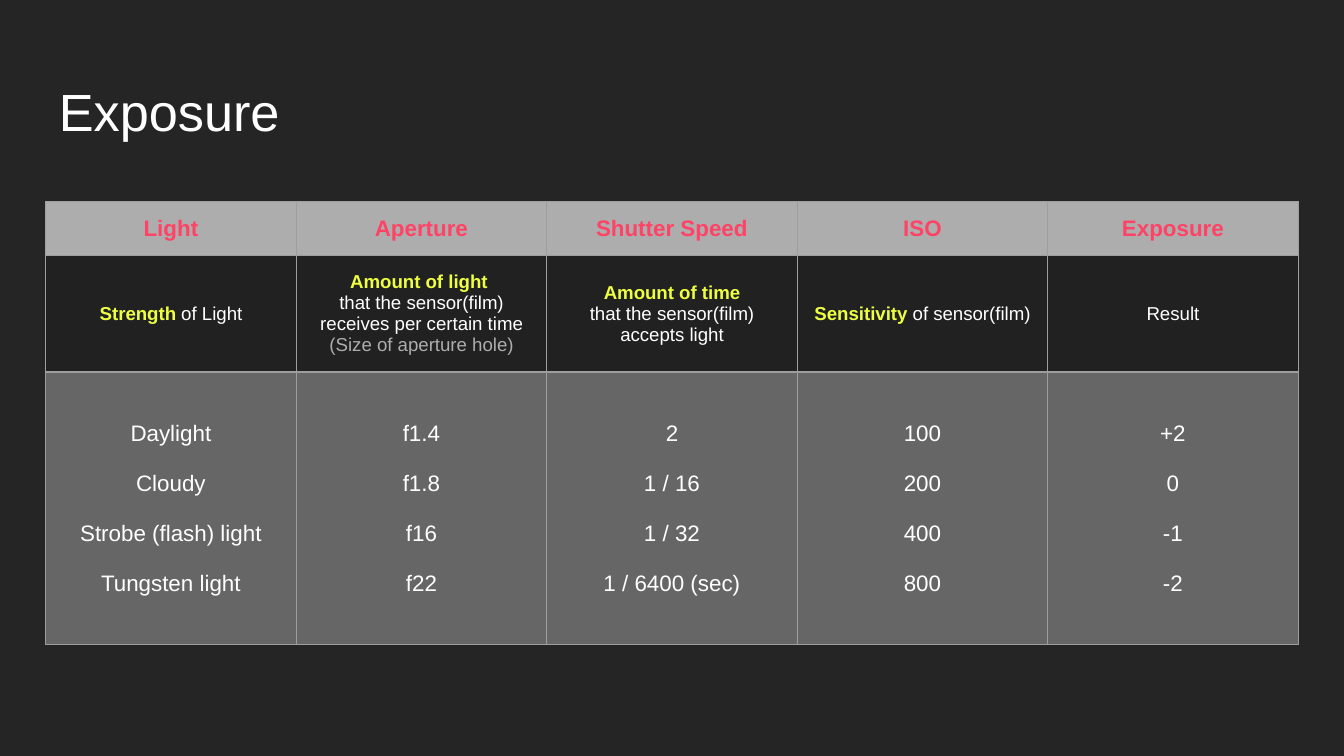
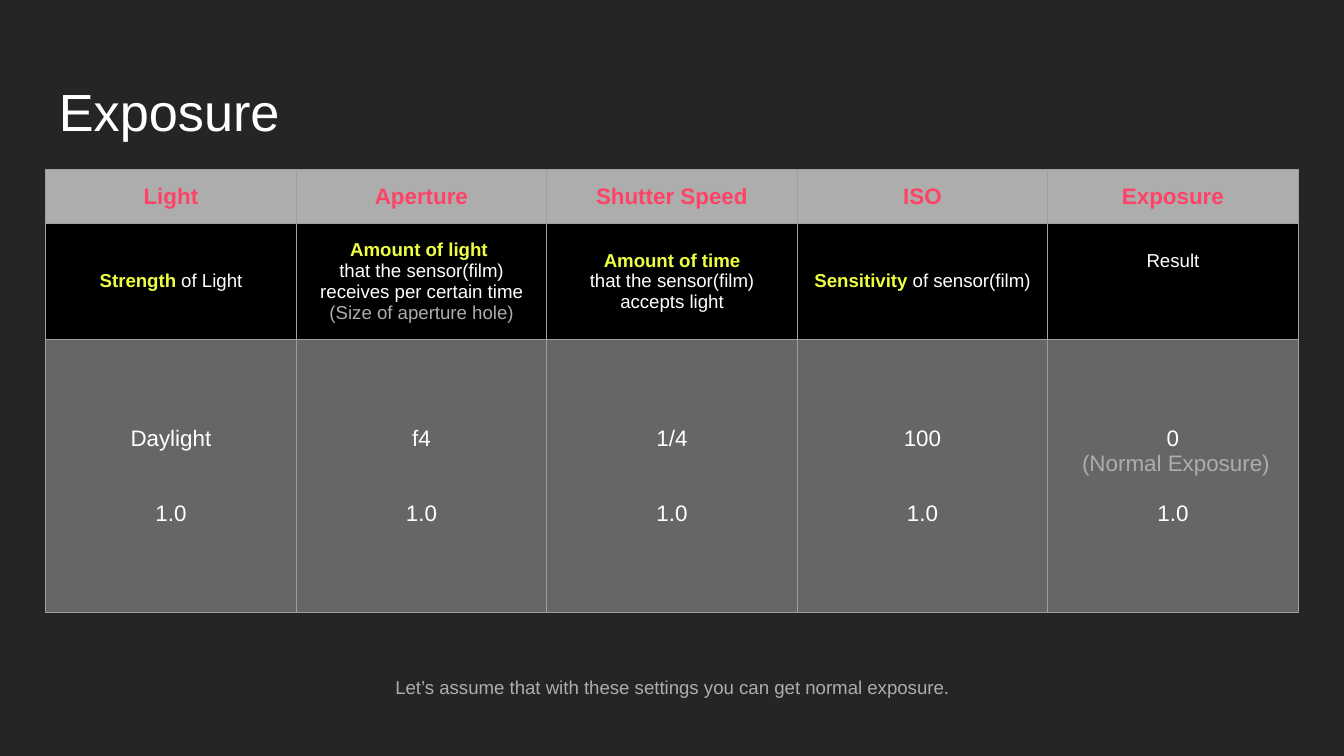
from dataclasses import dataclass, field

from lxml import etree
from pptx import Presentation
from pptx import util as u
from pptx.dml.color import RGBColor
from pptx.enum import text as t
from pptx.oxml import ns

# Shared look
FONT = "Arial"
BACKGROUND, WHITE, GRAY = "252525", "FFFFFF", "ADADAD"
PINK, YELLOW, BORDER, BODY_FILL = "FF4265", "EEFF41", "9E9E9E", "666666"
LEFT, WIDTH, MARGIN = 0.34, 9.32, 0.1
ROW_HEIGHTS = (0.39, 0.58, 2.03)
LINE = 13.4  # points in one line of 12 pt text


@dataclass
class Run:
    text: str
    color: str = WHITE
    bold: bool = False


@dataclass
class Para:
    runs: list[Run]
    before: float = 0


@dataclass
class ExposureTable:
    top: float
    description_fill: str
    settings: list[list[Para]]
    # Extra space below the last description, which lifts its text
    result_lift: float = 0
    headers: list[str] = field(default_factory=lambda: [
        "Light", "Aperture", "Shutter Speed", "ISO", "Exposure"])


def key(text: str) -> Run:
    return Run(text, YELLOW, True)


DESCRIPTIONS = [
    [Para([key("Strength"), Run(" of Light")])],
    [Para([key("Amount of light ")]),
     Para([Run("that the sensor(film) receives per certain time")]),
     Para([Run("(Size of aperture hole)", GRAY)])],
    [Para([key("Amount of time")]),
     Para([Run("that the sensor(film) accepts light")])],
    [Para([key("Sensitivity"), Run(" of sensor(film)")])],
    [Para([Run("Result")])],
]


def rgb(value: str) -> RGBColor:
    return RGBColor.from_string(value)


def stack(*lines: str, gap: float) -> list[Para]:
    """Lines of a settings cell with a gap, in points, between them."""
    return [Para([Run(line)], gap if i else 0) for i, line in enumerate(lines)]


def write(tf, paras: list[Para], *, size: float, align=t.PP_ALIGN.CENTER,
          spacing: float | None = None) -> None:
    for i, para in enumerate(paras):
        p = tf.paragraphs[0] if i == 0 else tf.add_paragraph()
        p.alignment = align
        if para.before:
            p.space_before = u.Pt(para.before)
        if spacing:
            p.line_spacing = spacing
        for run in para.runs:
            r = p.add_run()
            r.text = run.text
            r.font.name, r.font.size, r.font.bold = FONT, u.Pt(size), run.bold
            r.font.color.rgb = rgb(run.color)


def add_text(s, text: str, *, top: float, height: float, size: float, color: str = WHITE,
             align=t.PP_ALIGN.LEFT, anchor=t.MSO_ANCHOR.TOP, spacing: float | None = None) -> None:
    sp = s.shapes.add_textbox(u.Inches(LEFT), u.Inches(top), u.Inches(WIDTH), u.Inches(height))
    tf = sp.text_frame
    tf.word_wrap = True
    tf.vertical_anchor = anchor
    tf.margin_left = tf.margin_right = tf.margin_top = tf.margin_bottom = u.Inches(MARGIN)
    write(tf, [Para([Run(text, color)])], size=size, align=align, spacing=spacing)


def set_borders(cell) -> None:
    # Border lines come before the fill in the cell properties
    props = cell._tc.get_or_add_tcPr()
    for i, side in enumerate(("lnL", "lnR", "lnT", "lnB")):
        ln = etree.Element(ns.qn(f"a:{side}"), w=str(u.Pt(0.75)))
        fill = etree.SubElement(ln, ns.qn("a:solidFill"))
        etree.SubElement(fill, ns.qn("a:srgbClr"), val=BORDER)
        props.insert(i, ln)


def fill_cell(cell, paras: list[Para], *, size: float, fill: str, lift: float = 0) -> None:
    cell.fill.solid()
    cell.fill.fore_color.rgb = rgb(fill)
    cell.vertical_anchor = t.MSO_ANCHOR.MIDDLE
    cell.margin_left = cell.margin_right = cell.margin_top = u.Inches(MARGIN)
    cell.margin_bottom = u.Inches(MARGIN + lift)
    write(cell.text_frame, paras, size=size)
    set_borders(cell)


def add_exposure_table(s, data: ExposureTable) -> None:
    count = len(data.headers)
    table = s.shapes.add_table(
        len(ROW_HEIGHTS), count, u.Inches(LEFT), u.Inches(data.top),
        u.Inches(WIDTH), u.Inches(sum(ROW_HEIGHTS))).table
    for column in table.columns:
        column.width = u.Inches(WIDTH / count)
    for row, height in zip(table.rows, ROW_HEIGHTS):
        row.height = u.Inches(height)
    for c in range(count):
        lift = data.result_lift if c == count - 1 else 0
        header = [Para([Run(data.headers[c], PINK, True)])]
        fill_cell(table.cell(0, c), header, size=12, fill=GRAY)
        fill_cell(table.cell(1, c), DESCRIPTIONS[c], size=10,
                  fill=data.description_fill, lift=lift)
        fill_cell(table.cell(2, c), data.settings[c], size=12, fill=BODY_FILL)


def add_slide(prs, table: ExposureTable):
    s = prs.slides.add_slide(prs.slide_layouts[6])
    s.background.fill.solid()
    s.background.fill.fore_color.rgb = rgb(BACKGROUND)
    add_text(s, "Exposure", top=0.49, height=0.63, size=28)
    add_exposure_table(s, table)
    return s


def main() -> None:
    prs = Presentation()
    # Widescreen, 16:9
    prs.slide_width, prs.slide_height = u.Inches(10), u.Inches(10 * 9 / 16)

    # Range of settings
    ranges = [
        ("Daylight", "Cloudy", "Strobe (flash) light", "Tungsten light"),
        ("f1.4", "f1.8", "f16", "f22"),
        ("2", "1 / 16", "1 / 32", "1 / 6400 (sec)"),
        ("100", "200", "400", "800"),
        ("+2", "0", "-1", "-2"),
    ]
    add_slide(prs, ExposureTable(1.5, "212121", [stack(*r, gap=LINE) for r in ranges]))

    # Normal exposure
    normal = [stack(v, "1.0", gap=2 * LINE) for v in ("Daylight", "f4", "1/4", "100")]
    normal.append([Para([Run("0")]), Para([Run(" (Normal Exposure)", GRAY)]),
                   Para([Run("1.0")], LINE)])
    s = add_slide(prs, ExposureTable(1.26, "000000", normal, result_lift=0.31))
    add_text(s, "Let’s assume that with these settings you can get normal exposure.",
             top=4.63, height=0.66, size=10, color=GRAY, align=t.PP_ALIGN.CENTER,
             anchor=t.MSO_ANCHOR.BOTTOM, spacing=1.15)

    prs.save("out.pptx")


if __name__ == "__main__":
    main()
